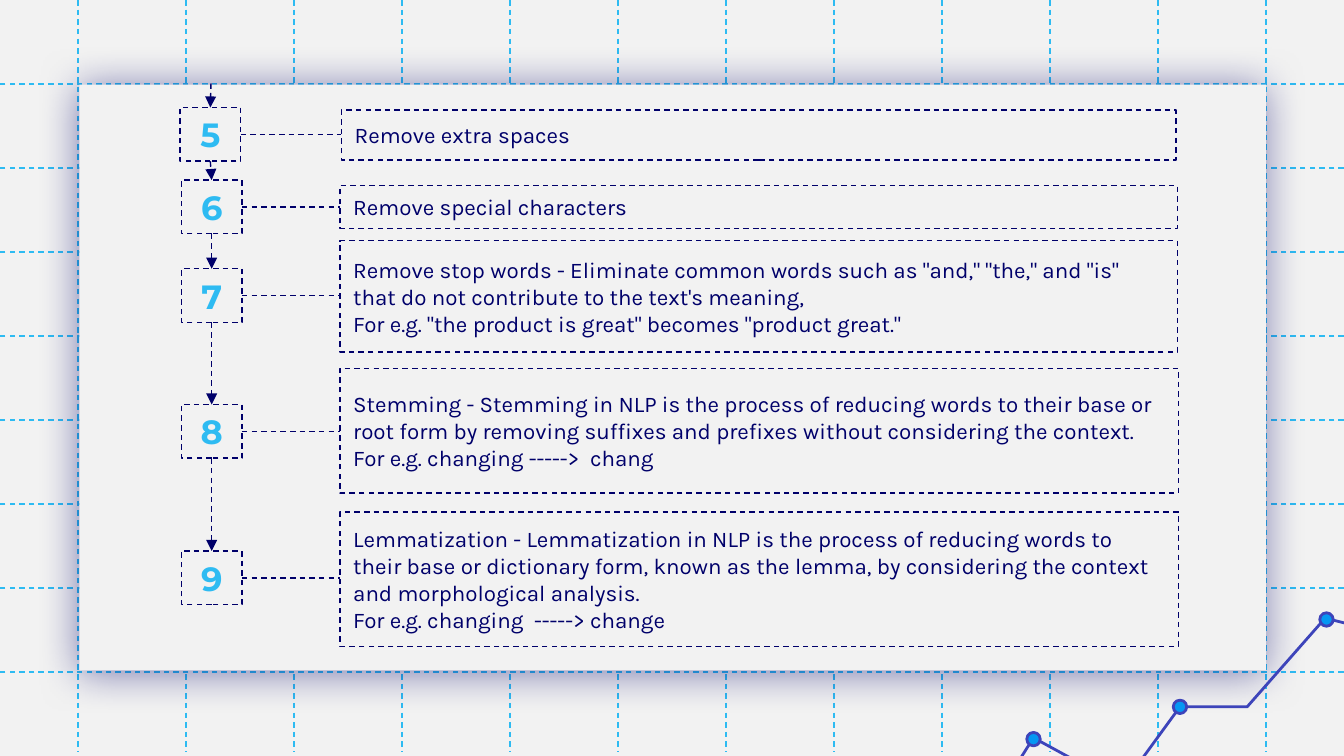
from lxml import etree
from pptx import Presentation
from pptx.dml.color import RGBColor
from pptx.enum.dml import MSO_LINE
from pptx.enum.shapes import MSO_CONNECTOR, MSO_SHAPE
from pptx.enum.text import MSO_ANCHOR, PP_ALIGN
from pptx.oxml.ns import qn
from pptx.util import Inches, Pt

PAPER = RGBColor(0xF2, 0xF2, 0xF2)
NAVY = RGBColor(0x00, 0x00, 0x6A)
SKY = RGBColor(0x2E, 0xBB, 0xF2)
INDIGO = RGBColor(0x3D, 0x44, 0xBA)
AZURE = RGBColor(0x05, 0x97, 0xF2)

prs = Presentation()
prs.slide_width, prs.slide_height = Inches(10), Inches(10 * 9 / 16)
s = prs.slides.add_slide(prs.slide_layouts[6])
s.background.fill.solid()
s.background.fill.fore_color.rgb = PAPER


def add_dashed_line(x1, y1, x2, y2, color, arrow=False):
    line = s.shapes.add_connector(
        MSO_CONNECTOR.STRAIGHT, Inches(x1), Inches(y1), Inches(x2), Inches(y2))
    line.line.color.rgb = color
    line.line.width = Pt(0.75)
    line.line.dash_style = MSO_LINE.DASH
    sp_pr = line._element.spPr
    if arrow:
        etree.SubElement(sp_pr.find(qn("a:ln")), qn("a:tailEnd"), type="triangle")
    etree.SubElement(sp_pr, qn("a:effectLst"))


def add_dashed_box(x, y, w, h, paragraphs, font, size, color, align, bold=False):
    sp = s.shapes.add_shape(
        MSO_SHAPE.RECTANGLE, Inches(x), Inches(y), Inches(w), Inches(h))
    sp.shadow.inherit = False
    sp.fill.background()
    sp.line.color.rgb = NAVY
    sp.line.width = Pt(0.75)
    sp.line.dash_style = MSO_LINE.DASH
    tf = sp.text_frame
    tf.word_wrap = True
    tf.vertical_anchor = MSO_ANCHOR.MIDDLE
    tf.margin_left = tf.margin_right = tf.margin_top = tf.margin_bottom = Inches(0.1)
    for i, text in enumerate(paragraphs):
        p = tf.add_paragraph() if i else tf.paragraphs[0]
        p.alignment = align
        r = p.add_run()
        r.text = text
        r.font.name = font
        r.font.size = Pt(size)
        r.font.bold = bold
        r.font.color.rgb = color


# Background grid
for i in range(12):
    x = 0.58 + i * (9.42 - 0.58) / 11
    add_dashed_line(x, 0, x, 5.59, SKY)
for i in range(8, 0, -1):
    y = i * 5 / 8
    add_dashed_line(10, y, 0, y, SKY)

# Panel with a soft glow
panel = s.shapes.add_shape(
    MSO_SHAPE.RECTANGLE, Inches(0.59), Inches(0.63), Inches(8.83), Inches(4.36))
panel.fill.solid()
panel.fill.fore_color.rgb = PAPER
panel.line.fill.background()
panel.shadow.inherit = False
glow = etree.SubElement(
    panel._element.spPr.find(qn("a:effectLst")), qn("a:outerShdw"),
    blurRad=str(Pt(22.5)), dist=str(Pt(1.5)), dir="5400000",
    algn="bl", rotWithShape="0")
glow_color = etree.SubElement(glow, qn("a:srgbClr"), val=str(NAVY))
etree.SubElement(glow_color, qn("a:alpha"), val="50000")

# Trend line in the corner, in hundredths of an inch
trend = [(681, 600), (735, 603), (769, 549), (835, 585), (878, 526),
         (928, 526), (986, 460), (1059, 478), (1098, 437)]
builder = s.shapes.build_freeform(*trend[0], scale=Inches(0.01))
builder.add_line_segments(trend[1:], close=False)
curve = builder.convert_to_shape()
curve.shadow.inherit = False
curve.fill.background()
curve.line.color.rgb = INDIGO
curve.line.width = Pt(1.5)
for x, y in [(7.69, 5.5), (8.78, 5.26), (9.87, 4.61)]:
    dot = s.shapes.add_shape(
        MSO_SHAPE.OVAL, Inches(x - 0.05), Inches(y - 0.05), Inches(0.1), Inches(0.1))
    dot.shadow.inherit = False
    dot.fill.solid()
    dot.fill.fore_color.rgb = AZURE
    dot.line.color.rgb = INDIGO
    dot.line.width = Pt(1.5)

# Steps: number, number box left and top, text box, paragraphs
BADGE_W, BADGE_H = 0.45, 0.4
steps = [
    ("5", 1.34, 0.8, (2.54, 0.82, 6.21, 0.37), ["Remove extra spaces"]),
    ("6", 1.35, 1.34, (2.53, 1.38, 6.23, 0.32), ["Remove special characters"]),
    ("7", 1.35, 2.0, (2.53, 1.79, 6.23, 0.83), [
        'Remove stop words - Eliminate common words such as "and," "the," and "is" '
        "that do not contribute to the text's meaning,",
        'For e.g. "the product is great" becomes "product great."']),
    ("8", 1.35, 3.01, (2.53, 2.74, 6.24, 0.93), [
        "Stemming - Stemming in NLP is the process of reducing words to their base "
        "or root form by removing suffixes and prefixes without considering the context.",
        "For e.g. changing ----->  chang"]),
    ("9", 1.35, 4.1, (2.53, 3.81, 6.24, 1), [
        "Lemmatization - Lemmatization in NLP is the process of reducing words to "
        "their base or dictionary form, known as the lemma, by considering the "
        "context and morphological analysis.",
        "For e.g. changing  -----> change"]),
]
prev_x, prev_bottom = 1.57, 0.62
for number, x, y, box, paragraphs in steps:
    add_dashed_box(*box, paragraphs, "Karla", 12, NAVY, PP_ALIGN.LEFT)
    add_dashed_box(x, y, BADGE_W, BADGE_H, [number], "Montserrat", 18, SKY,
                   PP_ALIGN.CENTER, bold=True)
    center_x, center_y = x + BADGE_W / 2, y + BADGE_H / 2
    add_dashed_line(prev_x, prev_bottom, center_x, y, NAVY, arrow=True)
    add_dashed_line(x + BADGE_W, center_y, box[0], center_y, NAVY)
    prev_x, prev_bottom = center_x, y + BADGE_H

prs.save("out.pptx")
